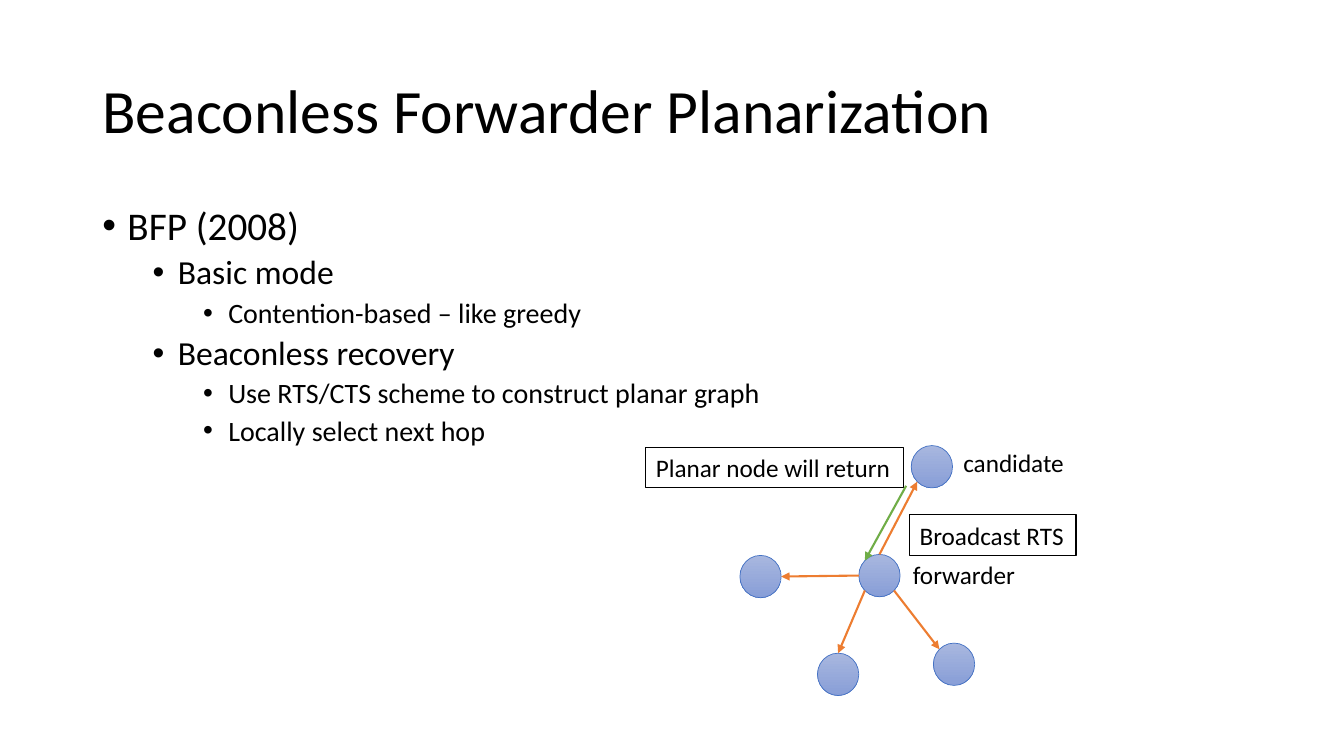
from dataclasses import dataclass
from enum import Enum
from math import cos, radians, sin

from lxml.etree import SubElement
from pptx import Presentation
from pptx.dml.color import RGBColor
from pptx.enum.shapes import MSO_CONNECTOR, MSO_SHAPE
from pptx.enum.text import MSO_ANCHOR, MSO_AUTO_SIZE, PP_ALIGN
from pptx.oxml.ns import qn
from pptx.slide import Slide
from pptx.text.text import _Paragraph as Paragraph
from pptx.util import Emu, Inches, Pt

# Grid of 160 columns by 90 rows
CELL = Inches(7.5) // 90
COLUMNS, ROWS = 160, 90
NODE_WIDTH, NODE_HEIGHT = 4.92, 5.04
LABEL_HEIGHT = 4.8
FONT = "Calibri"
COLORS = {
    "text": "000000",
    "node_top": "A8B7DF",
    "node_bottom": "889ED7",
    "node_line": "4472C4",
    "broadcast": "ED7D31",
    "reply": "70AD47",
}


class Side(Enum):
    """Clockwise angle of a point on a node's rim."""
    RIGHT = 0
    BOTTOM_RIGHT = 45
    BOTTOM_LEFT = 135
    LEFT = 180
    TOP_LEFT = 225
    TOP = 270


@dataclass(frozen=True)
class Point:
    column: float
    row: float


@dataclass(frozen=True)
class Node:
    column: float
    row: float

    def rim(self, side: Side) -> Point:
        angle = radians(side.value)
        return Point(self.column + NODE_WIDTH / 2 * (1 + cos(angle)),
                     self.row + NODE_HEIGHT / 2 * (1 + sin(angle)))


@dataclass(frozen=True)
class Arrow:
    start: Point
    end: Point
    color: str = "broadcast"


@dataclass(frozen=True)
class Label:
    text: str
    column: float
    row: float
    width: float
    boxed: bool = False


@dataclass(frozen=True)
class Bullet:
    text: str
    level: int


BULLETS = [
    Bullet("BFP (2008)", 0),
    Bullet("Basic mode", 1),
    Bullet("Contention-based – like greedy", 2),
    Bullet("Beaconless recovery", 1),
    Bullet("Use RTS/CTS scheme to construct planar graph", 2),
    Bullet("Locally select next hop", 2),
]

CANDIDATE = Node(108.48, 53.04)
FORWARDER = Node(102.24, 66)
RIGHT_NODE = Node(111.12, 76.56)
BOTTOM_NODE = Node(97.32, 77.76)
LEFT_NODE = Node(88.08, 66.12)
NODES = [CANDIDATE, FORWARDER, RIGHT_NODE, BOTTOM_NODE, LEFT_NODE]

ARROWS = [
    Arrow(FORWARDER.rim(Side.TOP), CANDIDATE.rim(Side.BOTTOM_LEFT)),
    Arrow(FORWARDER.rim(Side.LEFT), LEFT_NODE.rim(Side.RIGHT)),
    Arrow(FORWARDER.rim(Side.BOTTOM_LEFT), BOTTOM_NODE.rim(Side.TOP)),
    Arrow(FORWARDER.rim(Side.BOTTOM_RIGHT), RIGHT_NODE.rim(Side.TOP_LEFT)),
    Arrow(Point(107.88, 57.84), FORWARDER.rim(Side.TOP_LEFT), "reply"),
]

LABELS = [
    Label("forwarder", 107.5, 66, 14.76),
    Label("candidate", 113.5, 52.68, 14.52),
    Label("Broadcast RTS", 108.3, 61.3, 19.8, boxed=True),
    Label("Planar node will return", 76.9, 53.3, 30.7, boxed=True),
]


def cells(*counts: float) -> list[Emu]:
    return [Emu(round(count * CELL)) for count in counts]


def color(name: str) -> RGBColor:
    return RGBColor.from_string(COLORS[name])


def format_text(paragraph: Paragraph, size: float) -> None:
    paragraph.alignment = PP_ALIGN.LEFT
    for run in paragraph.runs:
        run.font.name = FONT
        run.font.size = Pt(size)
        run.font.color.rgb = color("text")


def add_title(slide: Slide, text: str) -> None:
    title = slide.shapes.title
    title.left, title.top, title.width, title.height = cells(11, 4.8, 138, 17.4)
    text_frame = title.text_frame
    text_frame.text = text
    text_frame.auto_size = MSO_AUTO_SIZE.NONE
    text_frame.vertical_anchor = MSO_ANCHOR.MIDDLE
    paragraph = text_frame.paragraphs[0]
    paragraph.line_spacing = 0.9
    format_text(paragraph, 44)


def add_bullets(slide: Slide, bullets: list[Bullet]) -> None:
    text_frame = slide.shapes.add_textbox(*cells(11, 24, 138, 57.1)).text_frame
    text_frame.word_wrap = True
    text_frame.text = "\n".join(bullet.text for bullet in bullets)
    for paragraph, bullet in zip(text_frame.paragraphs, bullets):
        paragraph.level = bullet.level
        paragraph.line_spacing = 0.9
        paragraph.space_before = Pt(5 if bullet.level else 10)
        format_text(paragraph, 28 - 4 * bullet.level)
        properties = paragraph._p.get_or_add_pPr()
        properties.set("marL", str(Inches(0.25 + 0.5 * bullet.level)))
        properties.set("indent", str(Inches(-0.25)))
        SubElement(properties, qn("a:buFont"), typeface="Arial")
        SubElement(properties, qn("a:buChar"), char="•")


def add_node(slide: Slide, node: Node) -> None:
    shape = slide.shapes.add_shape(
        MSO_SHAPE.OVAL, *cells(node.column, node.row, NODE_WIDTH, NODE_HEIGHT))
    shape.shadow.inherit = False
    shape.fill.gradient()
    shape.fill.gradient_angle = 270
    stops = zip(shape.fill.gradient_stops, ("node_top", "node_bottom"))
    for position, (stop, name) in enumerate(stops):
        stop.position = position
        stop.color.rgb = color(name)
    shape.line.color.rgb = color("node_line")
    shape.line.width = Pt(0.5)


def add_arrow(slide: Slide, arrow: Arrow) -> None:
    connector = slide.shapes.add_connector(
        MSO_CONNECTOR.STRAIGHT,
        *cells(arrow.start.column, arrow.start.row, arrow.end.column, arrow.end.row))
    connector.line.color.rgb = color(arrow.color)
    connector.line.width = Pt(1.5)
    SubElement(connector.line._get_or_add_ln(), qn("a:tailEnd"), type="triangle")
    SubElement(connector._element.spPr, qn("a:effectLst"))


def add_label(slide: Slide, label: Label) -> None:
    shape = slide.shapes.add_textbox(
        *cells(label.column, label.row, label.width, LABEL_HEIGHT))
    text_frame = shape.text_frame
    text_frame.text = label.text
    text_frame.word_wrap = False
    text_frame.auto_size = MSO_AUTO_SIZE.SHAPE_TO_FIT_TEXT
    format_text(text_frame.paragraphs[0], 18)
    if label.boxed:
        shape.line.color.rgb = color("text")
        shape.line.width = Pt(0.75)


def main() -> None:
    presentation = Presentation()
    presentation.slide_width, presentation.slide_height = cells(COLUMNS, ROWS)
    slide = presentation.slides.add_slide(presentation.slide_layouts[5])
    # Text
    add_title(slide, "Beaconless Forwarder Planarization")
    add_bullets(slide, BULLETS)
    # Network diagram
    for node in NODES:
        add_node(slide, node)
    for arrow in ARROWS:
        add_arrow(slide, arrow)
    for label in LABELS:
        add_label(slide, label)
    presentation.save("out.pptx")


if __name__ == "__main__":
    main()
